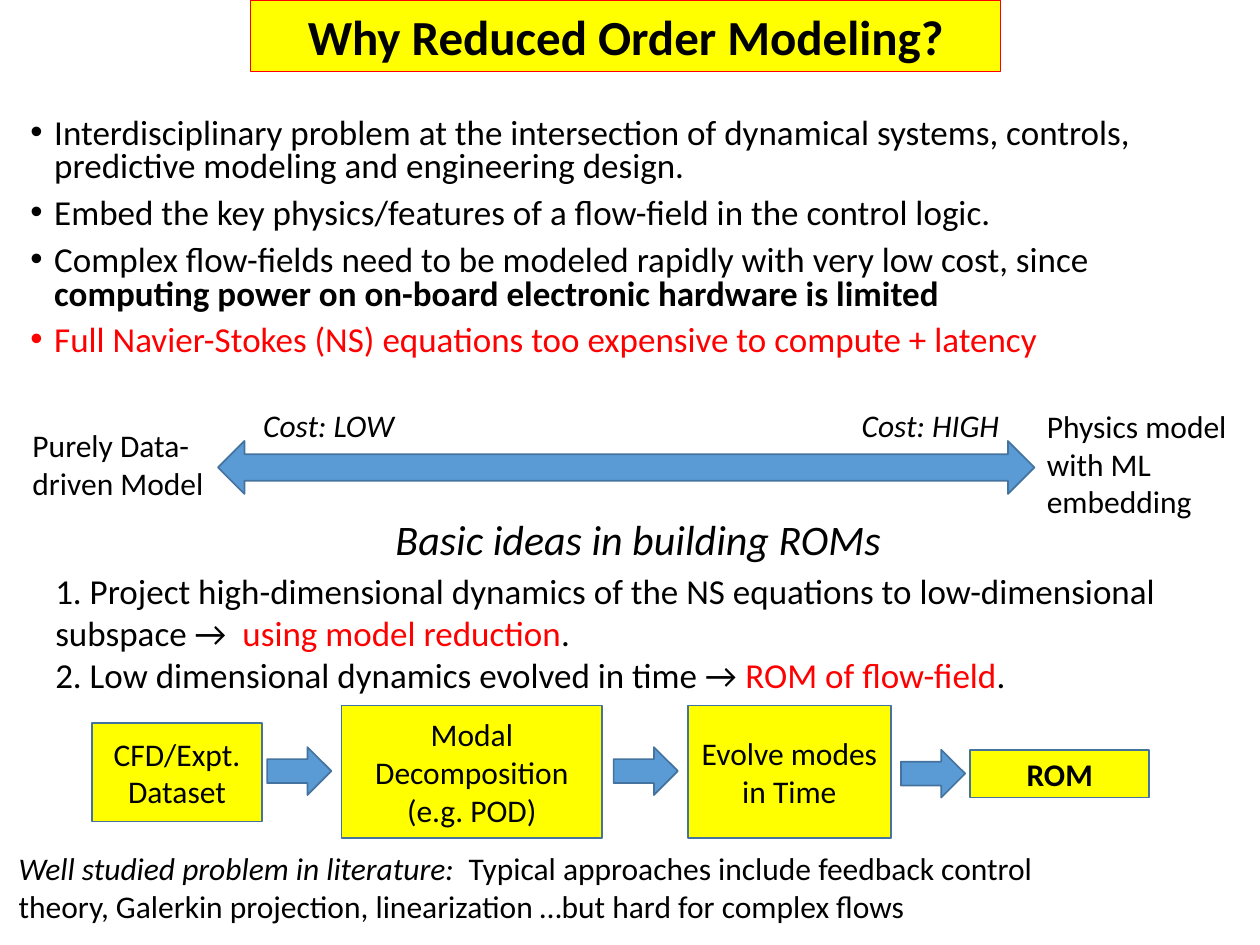
from lxml import etree
from pptx import Presentation
from pptx import util as u
from pptx.dml.color import RGBColor
from pptx.enum import shapes, text
from pptx.oxml.ns import qn

COLORS = {
    "black": "000000",
    "red": "FF0000",
    "yellow": "FFFF00",
    "blue": "5B9BD5",
    "outline": "43739E",
}


def add_runs(paragraph, runs, size):
    for content, color, style in runs:
        run = paragraph.add_run()
        run.text = content
        run.font.name = "Calibri"
        run.font.size = u.Pt(size)
        run.font.bold = "b" in style
        run.font.italic = "i" in style
        run.font.color.rgb = RGBColor.from_string(COLORS[color])


def paint(shape, fill, line, width):
    shape.fill.solid()
    shape.fill.fore_color.rgb = RGBColor.from_string(COLORS[fill])
    shape.line.color.rgb = RGBColor.from_string(COLORS[line])
    shape.line.width = u.Pt(width)


presentation = Presentation()
presentation.slide_width = u.Inches(10)
presentation.slide_height = u.Inches(7.5)
slide = presentation.slides.add_slide(presentation.slide_layouts[1])

body = slide.placeholders[1]
body.left, body.top = u.Inches(0.14), u.Inches(0.89)
body.width, body.height = u.Inches(9.44), u.Inches(2.15)
body.text_frame.auto_size = text.MSO_AUTO_SIZE.NONE
bullets = [
    [("Interdisciplinary problem at the intersection of dynamical systems, controls, "
      "predictive modeling and engineering design.", "black", "")],
    [("Embed the key physics/features of a flow-field in the control logic.", "black", "")],
    [("Complex flow-fields need to be modeled rapidly with very low cost, since ", "black", ""),
     ("computing power on on-board electronic hardware is limited", "black", "b")],
    [("Full Navier-Stokes (NS) equations too expensive to compute + latency", "red", "")],
]
for index, runs in enumerate(bullets):
    paragraph = body.text_frame.paragraphs[0] if index == 0 else body.text_frame.add_paragraph()
    properties = paragraph._p.get_or_add_pPr()
    properties.set("marL", str(u.Inches(0.19)))
    properties.set("indent", str(-u.Inches(0.19)))
    etree.SubElement(properties, qn("a:buFont"), typeface="Arial")
    etree.SubElement(properties, qn("a:buChar"), char="•")
    paragraph.line_spacing = 0.8
    paragraph.space_before = u.Pt(7.5 if index else 0)
    add_runs(paragraph, runs, 20)

title = slide.shapes.title
title.left, title.top = u.Inches(1.99), u.Inches(0)
title.width, title.height = u.Inches(5.95), u.Inches(0.57)
paint(title, "yellow", "red", 0.75)
title.text_frame.auto_size = text.MSO_AUTO_SIZE.NONE
title.text_frame.vertical_anchor = text.MSO_ANCHOR.TOP
title.text_frame.paragraphs[0].alignment = text.PP_ALIGN.CENTER
add_runs(title.text_frame.paragraphs[0], [("Why Reduced Order Modeling?", "black", "b")], 28)

steps = [
    (0.73, 5.74, 1.35, 0.78, "CFD/Expt. Dataset", ""),
    (2.71, 5.6, 2.07, 1.05, "Modal Decomposition (e.g. POD)", ""),
    (5.46, 5.6, 1.61, 1.05, "Evolve modes in Time", ""),
    (7.7, 5.95, 1.42, 0.38, "ROM", "b"),
]
for left, top, width, height, label, style in steps:
    step = slide.shapes.add_shape(
        shapes.MSO_SHAPE.RECTANGLE,
        u.Inches(left), u.Inches(top), u.Inches(width), u.Inches(height))
    step.shadow.inherit = False
    paint(step, "yellow", "outline", 1)
    step.text_frame.word_wrap = True
    step.text_frame.vertical_anchor = text.MSO_ANCHOR.MIDDLE
    step.text_frame.paragraphs[0].alignment = text.PP_ALIGN.CENTER
    add_runs(step.text_frame.paragraphs[0], [(label, "black", style)], 18)

arrows = [
    (shapes.MSO_SHAPE.RIGHT_ARROW, 2.12, 5.93, 0.51, 0.38),
    (shapes.MSO_SHAPE.RIGHT_ARROW, 4.87, 5.93, 0.51, 0.38),
    (shapes.MSO_SHAPE.RIGHT_ARROW, 7.15, 5.95, 0.51, 0.38),
    (shapes.MSO_SHAPE.LEFT_RIGHT_ARROW, 1.73, 3.5, 6.48, 0.42),
]
for kind, left, top, width, height in arrows:
    arrow = slide.shapes.add_shape(
        kind, u.Inches(left), u.Inches(top), u.Inches(width), u.Inches(height))
    arrow.shadow.inherit = False
    paint(arrow, "blue", "outline", 1)

text_boxes = [
    (0.34, 4.47, 9.02, 1.11, 20, [
        [("1. Project high-dimensional dynamics of the NS equations to low-dimensional "
          "subspace →  ", "black", ""),
         ("using model reduction", "red", ""), (".", "black", "")],
        [("2. Low dimensional dynamics evolved in time → ", "black", ""),
         ("ROM of flow-field", "red", ""), (".", "black", "")],
    ]),
    (3.04, 4.03, 5.32, 0.5, 24, [[("Basic ideas in building ROMs", "black", "i")]]),
    (8.21, 3.18, 1.79, 1.01, 18, [[("Physics model with ML embedding", "black", "")]]),
    (0.16, 3.33, 1.57, 0.71, 18, [[("Purely Data-driven Model", "black", "")]]),
    (1.99, 3.17, 1.4, 0.4, 18, [[("Cost: LOW", "black", "i")]]),
    (6.74, 3.17, 1.4, 0.4, 18, [[("Cost: HIGH", "black", "i")]]),
    (0.05, 6.69, 8.7, 0.71, 18, [
        [("Well studied problem in literature:  ", "black", "i"),
         ("Typical approaches include feedback control theory, Galerkin projection, "
          "linearization …but hard for complex flows", "black", "")],
    ]),
]
for left, top, width, height, size, paragraphs in text_boxes:
    box = slide.shapes.add_textbox(
        u.Inches(left), u.Inches(top), u.Inches(width), u.Inches(height))
    box.text_frame.word_wrap = True
    for index, runs in enumerate(paragraphs):
        paragraph = box.text_frame.paragraphs[0] if index == 0 else box.text_frame.add_paragraph()
        add_runs(paragraph, runs, size)

presentation.save("out.pptx")
